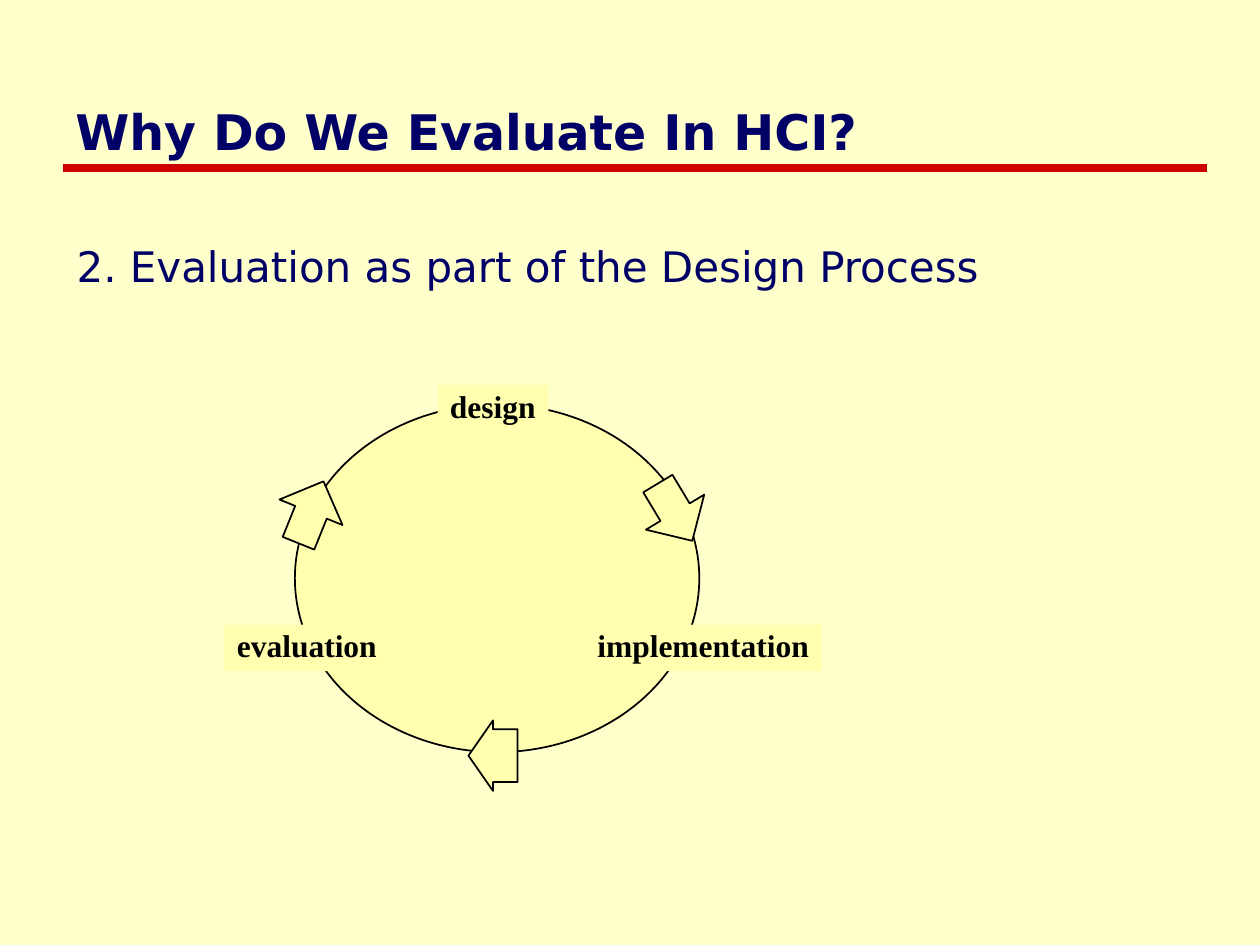
from pptx import Presentation
from pptx.dml.color import RGBColor
from pptx.enum.shapes import MSO_CONNECTOR, MSO_SHAPE
from pptx.enum.text import MSO_ANCHOR, MSO_AUTO_SIZE, PP_ALIGN
from pptx.oxml.ns import qn
from pptx.util import Inches, Pt

STRAIGHT = MSO_CONNECTOR.STRAIGHT
RECT, ELLIPSE = MSO_SHAPE.RECTANGLE, MSO_SHAPE.OVAL
LEFT_ARROW, RIGHT_ARROW = MSO_SHAPE.LEFT_ARROW, MSO_SHAPE.RIGHT_ARROW
TOP, MIDDLE = MSO_ANCHOR.TOP, MSO_ANCHOR.MIDDLE
LEFT = PP_ALIGN.LEFT
FIT_SHAPE = MSO_AUTO_SIZE.SHAPE_TO_FIT_TEXT

COLORS = {"page": "FFFFCC", "rule": "CC0000", "heading": "000066",
          "cycle": "FFFFAF", "ink": "000000"}
HEADING_FONT, LABEL_FONT = "DejaVu Sans", "Times New Roman"

# Label, centre as shares of the cycle's box, width in inches
STAGES = [("design", 0.49, 0.01, 0.88),
          ("implementation", 1.01, 0.7, 1.88),
          ("evaluation", 0.03, 0.7, 1.31)]
LABEL_HEIGHT = 0.37

# Shape, centre as shares of the cycle's box, size in inches, rotation, shaft
ARROWS = [(LEFT_ARROW, 0.49, 1.01, 0.39, 0.56, 0, 0.75),
          (RIGHT_ARROW, 0.04, 0.31, 0.53, 0.54, 292, 0.5),
          (RIGHT_ARROW, 0.94, 0.31, 0.53, 0.54, 59, 0.5)]


def rgb(name):
    return RGBColor.from_string(COLORS[name])


def write(sp, text, *, size, font, color, bold=False, anchor=TOP,
          wrap=True, before=0, spacing=1.0):
    tf = sp.text_frame
    tf.word_wrap = wrap
    tf.vertical_anchor = anchor
    p = tf.paragraphs[0]
    p.alignment = LEFT
    p.space_before = Pt(before)
    p.line_spacing = spacing
    r = p.add_run()
    r.text = text
    r.font.size, r.font.name, r.font.bold = Pt(size), font, bold
    r.font.color.rgb = rgb(color)


def add_filled(slide, kind, box, outlined=True):
    sp = slide.shapes.add_shape(kind, *map(Inches, box))
    sp.shadow.inherit = False
    sp.fill.solid()
    sp.fill.fore_color.rgb = rgb("cycle")
    if outlined:
        sp.line.color.rgb = rgb("ink")
        sp.line.width = Pt(1)
    else:
        sp.line.fill.background()
    return sp


def centred_box(box, x_share, y_share, width, height):
    """Box of the given size, centred at a share of the outer box."""
    left, top, outer_width, outer_height = box
    return (left + x_share * outer_width - width / 2,
            top + y_share * outer_height - height / 2, width, height)


def add_title(slide, box, text):
    """Heading with a rule along the lower edge of its box."""
    left, top, width, height = box
    y = Inches(top + height)
    rule = slide.shapes.add_connector(
        STRAIGHT, Inches(left), y, Inches(left + width), y)
    rule.line.color.rgb = rgb("rule")
    rule.line.width = Pt(4.5)
    props = rule._element.spPr
    props.append(props.makeelement(qn("a:effectLst"), {}))
    sp = slide.shapes.add_textbox(*map(Inches, box))
    write(sp, text, size=28, font=HEADING_FONT, color="heading",
          bold=True, anchor=MIDDLE)


def add_body(slide, box, text):
    sp = slide.shapes.add_textbox(*map(Inches, box))
    write(sp, text, size=24, font=HEADING_FONT, color="heading", before=6)


def add_cycle(slide, box):
    """Ellipse with the stages and the arrows between them on its rim."""
    add_filled(slide, ELLIPSE, box)
    for text, x, y, width in STAGES:
        sp = add_filled(slide, RECT, centred_box(box, x, y, width, LABEL_HEIGHT),
                        outlined=False)
        write(sp, text, size=18, font=LABEL_FONT, color="ink", bold=True,
              wrap=False, before=6.8, spacing=0.9)
        sp.text_frame.auto_size = FIT_SHAPE
    for kind, x, y, width, height, rotation, shaft in ARROWS:
        sp = add_filled(slide, kind, centred_box(box, x, y, width, height))
        sp.rotation = rotation
        sp.adjustments[0] = shaft
        sp.adjustments[1] = 0.5


def main():
    prs = Presentation()
    prs.slide_width, prs.slide_height = Inches(10), Inches(7.5)
    slide = prs.slides.add_slide(prs.slide_layouts[6])
    slide.background.fill.solid()
    slide.background.fill.fore_color.rgb = rgb("page")
    add_title(slide, (0.5, 0.75, 9.08, 0.58), "Why Do We Evaluate In HCI?")
    add_body(slide, (0.51, 1.86, 9.06, 5.2),
             "2. Evaluation as part of the Design Process")
    add_cycle(slide, (2.34, 3.21, 3.21, 2.76))
    prs.save("out.pptx")


if __name__ == "__main__":
    main()
